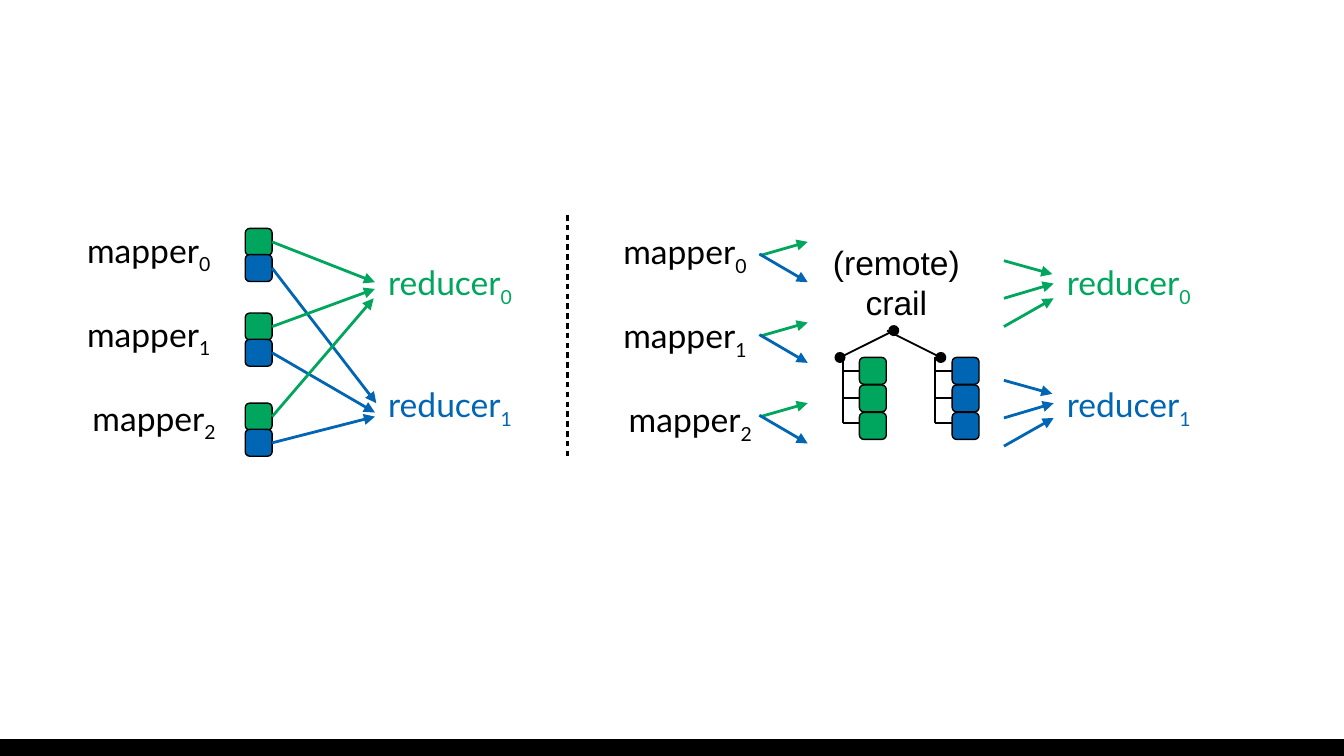
import pptx
import pptx.util
import pptx.dml.color
import pptx.enum.shapes
import pptx.enum.text
import pptx.oxml.ns
import lxml.etree

Inches = pptx.util.Inches
Pt = pptx.util.Pt
KIND = pptx.enum.shapes.MSO_SHAPE
COLORS = {"black": "000000", "green": "00A65D", "blue": "0066B3"}
BOX = 0.2
RIGHT = 3


def rgb(name):
    return pptx.dml.color.RGBColor.from_string(COLORS[name])


def write(shapes, words, x, y, w=1.23, h=0.43, sub=None, color="black",
          font="Lato", size=18, pad=0.1, wrap=True, center=False):
    """Add a text box with one paragraph per line and an optional subscript."""
    frame = shapes.add_textbox(*map(Inches, (x, y, w, h))).text_frame
    frame.word_wrap = wrap
    frame.margin_left = frame.margin_right = Inches(0.1)
    frame.margin_top = frame.margin_bottom = Inches(pad)
    if center:
        frame.vertical_anchor = pptx.enum.text.MSO_ANCHOR.MIDDLE
    for i, row in enumerate(words.split("\n")):
        para = frame.add_paragraph() if i else frame.paragraphs[0]
        if center:
            para.alignment = pptx.enum.text.PP_ALIGN.CENTER
        para.add_run().text = row
        if sub is not None:
            low = para.add_run()
            low.text = str(sub)
            low._r.get_or_add_rPr().set("baseline", "-25000")
        for run in para.runs:
            run.font.name = font
            run.font.size = Pt(size)
            run.font.color.rgb = rgb(color)


def block(shapes, x, y, color):
    box = shapes.add_shape(KIND.ROUNDED_RECTANGLE,
                           *map(Inches, (x, y, BOX, BOX)))
    box.shadow.inherit = False
    box.fill.solid()
    box.fill.fore_color.rgb = rgb(color)
    box.line.color.rgb = rgb("black")
    box.line.width = Pt(0.75)
    return box


def line(shapes, start, end, color="black", width=1.0, head=None, tail=None,
         dash=None):
    """Add a straight line; dash is (length, gap) in percent of its width."""
    link = shapes.add_connector(pptx.enum.shapes.MSO_CONNECTOR.STRAIGHT,
                                *map(Inches, (*start, *end)))
    link.line.color.rgb = rgb(color)
    link.line.width = Pt(width)
    qn = pptx.oxml.ns.qn
    add = lxml.etree.SubElement
    props = link.line._get_or_add_ln()
    if dash:
        length, gap = dash
        add(add(props, qn("a:custDash")), qn("a:ds"),
            d=str(length * 1000), sp=str(gap * 1000))
    for tag, tip in (("a:headEnd", head), ("a:tailEnd", tail)):
        if tip:
            add(props, qn(tag), type=tip)
    add(link._element.spPr, qn("a:effectLst"))
    return link


def arrow(shapes, start, end, color):
    return line(shapes, start, end, color, 1.5, tail="triangle")


def labels(shapes, left, top, goal):
    """Write the mapper column and the reducer column of one half."""
    for i, shift in enumerate((0, 0, 0.04)):
        write(shapes, "mapper", left + shift, top + 0.625 * i, sub=i)
    for i, color in enumerate(("green", "blue")):
        write(shapes, "reducer", goal, 1.85 + 0.91 * i, sub=i, color=color)


def shuffle(shapes):
    """Draw the blocks of each mapper and their arrows to the reducers."""
    goals = {"green": ((2.79, 2.1), (2.79, 2.15), (2.78, 2.22)),
             "blue": ((2.8, 3), (2.79, 3.07), (2.79, 3.1))}
    for i, top in enumerate((1.7, 2.33, 3)):
        for j, (color, ends) in enumerate(goals.items()):
            y = top + 0.195 * j
            box = block(shapes, 1.825, y, color)
            link = arrow(shapes, (1.825 + BOX, y + BOX / 2), ends[i], color)
            link.begin_connect(box, RIGHT)


def stack(shapes, x, color):
    """Draw a column of blocks hanging from a black rail."""
    top = 2.66
    for y in (3.15, 2.96, 2.76):
        line(shapes, (x, y), (x + 0.2, y))
    for i in range(3):
        block(shapes, x + 0.125, top + 0.205 * i, color)
    line(shapes, (x, top), (x, 3.15))


def fan_out(shapes, y):
    group = shapes.add_group_shape().shapes
    arrow(group, (5.66, y), (6.01, y - 0.1), "green")
    arrow(group, (5.65, y - 0.01), (6.01, y + 0.2), "blue")


def fan_in(shapes, y, color):
    group = shapes.add_group_shape().shapes
    for start, x, end in ((0, 7.83, 0.1), (0.28, 7.84, 0.17),
                          (0.49, 7.84, 0.28)):
        arrow(group, (7.47, y + start), (x, y + end), color)


def main():
    deck = pptx.Presentation()
    deck.slide_width = Inches(10)
    deck.slide_height = deck.slide_width * 9 // 16
    shapes = deck.slides.add_slide(deck.slide_layouts[6]).shapes

    top = Inches(5.5)
    band = shapes.add_shape(KIND.RECTANGLE, 0, top, deck.slide_width,
                            deck.slide_height - top)
    band.shadow.inherit = False
    band.fill.solid()
    band.fill.fore_color.rgb = rgb("black")
    band.line.fill.background()

    labels(shapes, 0.55, 1.61, 2.79)
    shuffle(shapes)

    labels(shapes, 4.54, 1.62, 7.84)
    line(shapes, (6.65, 2.46), (6.25, 2.66), head="oval", tail="oval")
    line(shapes, (7, 2.66), (6.6, 2.46), head="oval")
    stack(shapes, 6.27, "green")
    stack(shapes, 6.96, "blue")
    for i in range(3):
        fan_out(shapes, 1.9 + 0.6 * i)
    fan_in(shapes, 1.94, "green")
    fan_in(shapes, 2.83, "blue")

    line(shapes, (4.22, 1.6), (4.22, 3.4), width=1.5, dash=(200, 150))
    write(shapes, "(remote)\ncrail", 6.07, 1.8, 1.2, 0.6, font="Arial",
          pad=0.05, wrap=False, center=True)
    deck.save("out.pptx")


if __name__ == "__main__":
    main()
